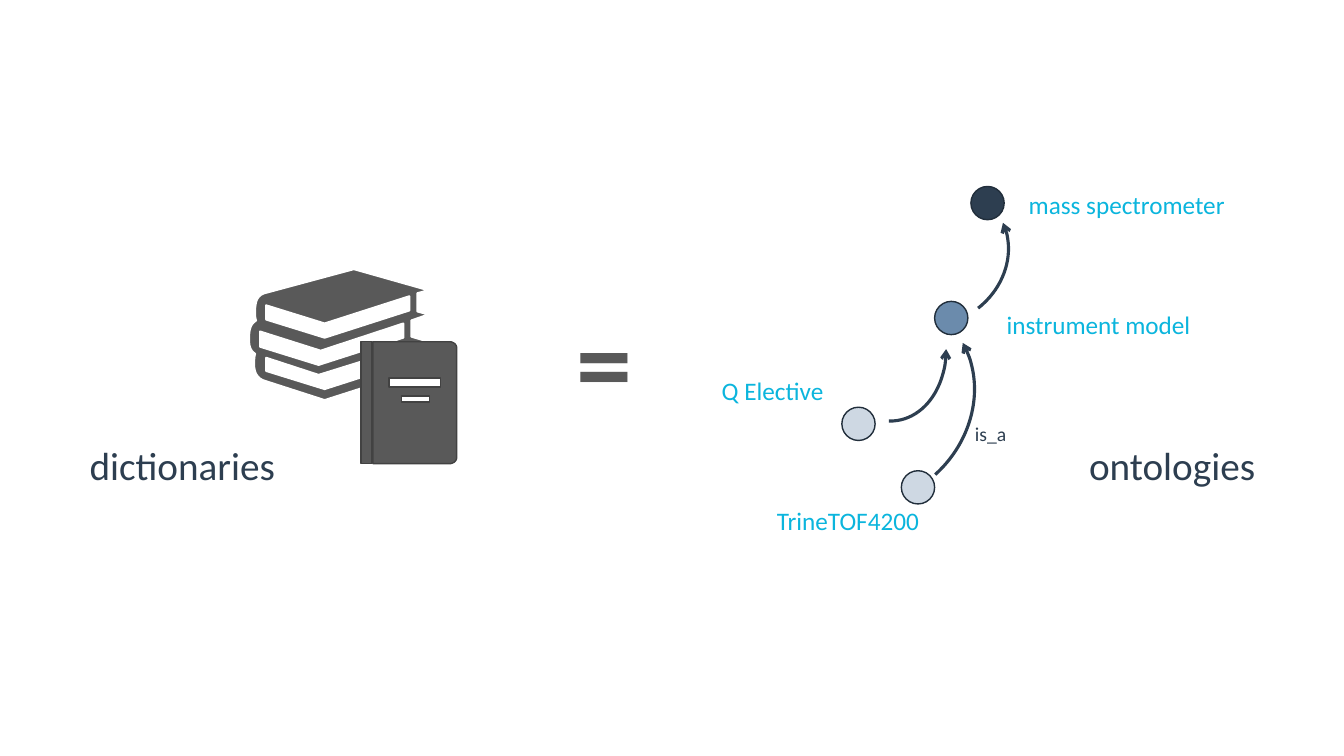
"""Build a slide that equates dictionaries with ontologies."""
from dataclasses import dataclass

from pptx import Presentation
from pptx.dml.color import RGBColor
from pptx.enum.shapes import MSO_SHAPE
from pptx.enum.text import MSO_AUTO_SIZE, PP_ALIGN
from pptx.util import Inches, Pt

NAVY, CYAN, GRAY = "2D3E50", "0BB5DD", "595959"
PALE, STEEL, OUTLINE, COVER_EDGE, WHITE = "CED8E3", "6B8BAC", "212E3B", "424242", "FFFFFF"
NODE_SIZE = 0.33
CURVE_STEPS = 8


@dataclass
class Label:
    text: str
    left: float
    top: float
    width: float
    height: float
    size: int
    color: str
    align: PP_ALIGN = PP_ALIGN.LEFT
    bold: bool = False
    wrap: bool = False


@dataclass
class Node:
    left: float
    top: float
    fill: str


@dataclass
class Arc:
    left: float
    top: float
    width: float
    height: float
    rotation: float


LABELS = [
    Label("=", 5.62, 2.84, 0.76, 1.45, 80, GRAY, bold=True),
    Label("dictionaries", 0.79, 4.33, 2.06, 0.57, 28, NAVY),
    Label("ontologies", 10.69, 4.33, 1.87, 0.57, 28, NAVY, PP_ALIGN.CENTER),
    Label("TrineTOF4200", 7.57, 4.96, 1.68, 0.4, 18, CYAN, PP_ALIGN.CENTER),
    Label("instrument model", 9.87, 3.02, 2.05, 0.4, 18, CYAN, PP_ALIGN.CENTER),
    Label("Q Elective", 7.06, 3.67, 2.07, 0.4, 18, CYAN, wrap=True),
    Label("mass spectrometer", 10.09, 1.83, 2.17, 0.4, 18, CYAN, PP_ALIGN.CENTER),
    Label("is_a", 9.57, 4.14, 0.52, 0.34, 14, NAVY),
]
NODES = [
    Node(8.35, 4.04, PALE),
    Node(8.94, 4.67, PALE),
    Node(9.27, 2.99, STEEL),
    Node(9.63, 1.85, NAVY),
]
ARCS = [
    Arc(7.57, 3.03, 2.16, 1.91, 133.2),
    Arc(8.61, 1.92, 1.43, 1.26, 137.5),
    Arc(8.19, 2.63, 1.19, 1.55, 171.7),
]

Point = tuple[float, float]


def rgb(color: str) -> RGBColor:
    return RGBColor.from_string(color)


def curve(start: Point, first: Point, second: Point, end: Point) -> list[Point]:
    points = []
    for step in range(CURVE_STEPS + 1):
        t = step / CURVE_STEPS
        weights = ((1 - t) ** 3, 3 * t * (1 - t) ** 2, 3 * t**2 * (1 - t), t**3)
        points.append(tuple(
            sum(weight * value for weight, value in zip(weights, axis))
            for axis in zip(start, first, second, end)
        ))
    return points


def rectangle(left: float, top: float, right: float, bottom: float) -> list[Point]:
    return [(left, top), (right, top), (right, bottom), (left, bottom)]


BOOK_STACK = [
    [
        (4.25, 3.12), (4.14, 3.09), (4.14, 2.91), (4.25, 2.88), (3.51, 2.67),
        *curve((2.62, 2.91), (2.53, 2.94), (2.53, 3.03), (2.53, 3.11)),
        *curve((2.53, 3.11), (2.53, 3.13), (2.53, 3.16), (2.54, 3.18)),
        *curve((2.54, 3.18), (2.47, 3.22), (2.47, 3.3), (2.47, 3.37)),
        *curve((2.47, 3.37), (2.47, 3.43), (2.48, 3.48), (2.53, 3.51)),
        *curve((2.53, 3.51), (2.52, 3.54), (2.52, 3.58), (2.52, 3.62)),
        *curve((2.52, 3.62), (2.52, 3.69), (2.55, 3.76), (2.63, 3.78)),
        (3.22, 3.97), (4.25, 3.64), (4.14, 3.6), (4.14, 3.42), (4.25, 3.39),
        (4.08, 3.34), (4.08, 3.18),
    ],
    [(2.64, 3.03), (3.22, 3.21), (4.06, 2.94), (4.06, 3.08), (3.22, 3.35), (2.64, 3.17)],
    [(4.06, 3.59), (3.22, 3.86), (2.64, 3.68), (2.64, 3.55), (3.16, 3.72), (4.06, 3.44)],
    [(4, 3.35), (3.16, 3.62), (2.58, 3.44), (2.58, 3.29), (3.18, 3.48), (4, 3.21)],
]
BOOK_SPINE = [rectangle(3.58, 3.39, 3.69, 4.6)]
BOOK_COVER = [
    rectangle(3.86, 3.75, 4.37, 3.84),
    rectangle(3.98, 3.93, 4.26, 3.99),
    [
        (3.7, 3.39), (3.7, 4.6),
        *curve((4.46, 4.6), (4.5, 4.6), (4.53, 4.57), (4.53, 4.54)),
        *curve((4.53, 3.45), (4.53, 3.42), (4.5, 3.39), (4.46, 3.39)),
    ],
]


def style(shape, fill: str | None, line: str, width: float) -> None:
    shape.shadow.inherit = False
    if fill is None:
        shape.fill.background()
    else:
        shape.fill.solid()
        shape.fill.fore_color.rgb = rgb(fill)
    shape.line.color.rgb = rgb(line)
    shape.line.width = Pt(width)


def draw_outline(shapes, contours: list[list[Point]], line: str, width: float) -> None:
    builder = None
    for contour in contours:
        start, *rest = [(Inches(x), Inches(y)) for x, y in contour]
        if builder is None:
            builder = shapes.build_freeform(*start)
        else:
            builder.move_to(*start)
        builder.add_line_segments(rest, close=True)
    style(builder.convert_to_shape(), GRAY, line, width)


def draw_arc(shapes, arc: Arc) -> None:
    shape = shapes.add_shape(
        MSO_SHAPE.ARC, Inches(arc.left), Inches(arc.top), Inches(arc.width), Inches(arc.height)
    )
    shape.adjustments[0], shape.adjustments[1] = 158.455, 207.703
    shape.rotation = arc.rotation
    shape._element.spPr.xfrm.set("flipH", "1")
    style(shape, None, NAVY, 2.25)
    line = shape.line._get_or_add_ln()
    tail = line.makeelement(line.tag.replace("}ln", "}tailEnd"), {"type": "arrow"})
    line.append(tail)


def draw_node(shapes, node: Node) -> None:
    size = Inches(NODE_SIZE)
    shape = shapes.add_shape(MSO_SHAPE.OVAL, Inches(node.left), Inches(node.top), size, size)
    style(shape, node.fill, OUTLINE, 1)


def draw_label(shapes, label: Label) -> None:
    box = shapes.add_textbox(
        Inches(label.left), Inches(label.top), Inches(label.width), Inches(label.height)
    )
    frame = box.text_frame
    frame.word_wrap = label.wrap
    frame.auto_size = MSO_AUTO_SIZE.SHAPE_TO_FIT_TEXT
    para = frame.paragraphs[0]
    para.text = label.text
    para.alignment = label.align
    para.font.name = "Calibri"
    para.font.size = Pt(label.size)
    para.font.bold = label.bold
    para.font.color.rgb = rgb(label.color)


def main() -> None:
    deck = Presentation()
    deck.slide_width, deck.slide_height = Inches(13.33), Inches(7.5)
    page = deck.slides.add_slide(deck.slide_layouts[6])
    for arc in ARCS:
        draw_arc(page.shapes, arc)
    draw_outline(page.shapes, BOOK_STACK, WHITE, 1.5)
    book = page.shapes.add_group_shape()
    for part in (BOOK_SPINE, BOOK_COVER):
        draw_outline(book.shapes, part, COVER_EDGE, 1)
    for node in NODES:
        draw_node(page.shapes, node)
    for label in LABELS:
        draw_label(page.shapes, label)
    deck.save("out.pptx")


if __name__ == "__main__":
    main()
